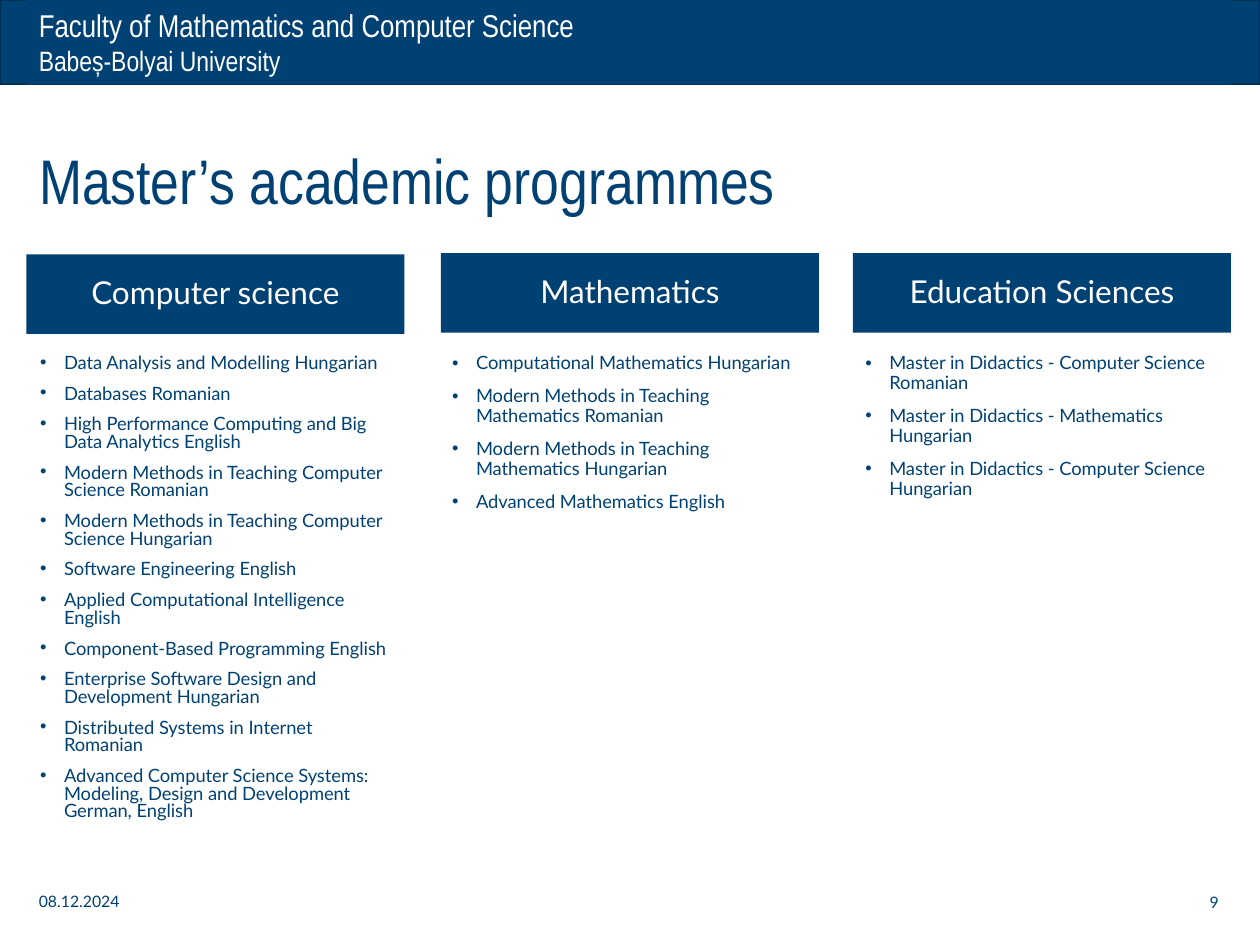
from lxml import etree
from pptx import Presentation
from pptx.dml.color import RGBColor
from pptx.enum import shapes, text
from pptx.oxml.ns import qn
from pptx.util import Inches, Pt

NAVY, DARK_NAVY, WHITE = "004174", "003056", "FFFFFF"
HEADING_FONT, BODY_FONT = "Arial Narrow", "Lato"
COLUMN_WIDTH = 3

# heading, heading position, list position, line spacing, programmes
COLUMNS = [
    ("Computer science", (0.21, 2.02), (0.22, 2.77), 0.8, [
        "Data Analysis and Modelling Hungarian",
        "Databases Romanian",
        "High Performance Computing and Big Data Analytics English",
        "Modern Methods in Teaching Computer Science Romanian",
        "Modern Methods in Teaching Computer Science Hungarian",
        "Software Engineering English",
        "Applied Computational Intelligence English",
        "Component-Based Programming English",
        "Enterprise Software Design and Development Hungarian",
        "Distributed Systems in Internet Romanian",
        "Advanced Computer Science Systems: Modeling, Design and Development German, English",
    ]),
    ("Mathematics", (3.5, 2.01), (3.49, 2.76), 0.9, [
        "Computational Mathematics Hungarian",
        "Modern Methods in Teaching Mathematics Romanian",
        "Modern Methods in Teaching Mathematics Hungarian",
        "Advanced Mathematics English",
    ]),
    ("Education Sciences", (6.77, 2.01), (6.77, 2.76), 0.9, [
        "Master in Didactics - Computer Science Romanian",
        "Master in Didactics - Mathematics Hungarian",
        "Master in Didactics - Computer Science Hungarian",
    ]),
]


def color(hex_string):
    return RGBColor.from_string(hex_string)


def set_font(font, size, name, hex_string):
    font.size = Pt(size)
    font.name = name
    font.color.rgb = color(hex_string)


def add_bar(slide, left, top, width, height, line=None):
    bar = slide.shapes.add_shape(shapes.MSO_SHAPE.RECTANGLE, Inches(left), Inches(top),
                                 Inches(width), Inches(height))
    bar.shadow.inherit = False
    bar.fill.solid()
    bar.fill.fore_color.rgb = color(NAVY)
    if line:
        bar.line.color.rgb = color(line)
        bar.line.width = Pt(1)
    else:
        bar.line.fill.background()
    return bar


def add_text_frame(slide, left, top, width, height):
    frame = slide.shapes.add_textbox(Inches(left), Inches(top),
                                     Inches(width), Inches(height)).text_frame
    frame.word_wrap = True
    return frame


def add_banner(slide):
    add_bar(slide, 0, 0, 10, 0.67, DARK_NAVY)
    frame = add_bar(slide, 0.21, 0, 9.56, 0.67).text_frame
    frame.vertical_anchor = text.MSO_ANCHOR.TOP
    names = frame.paragraphs[0]
    names.alignment = text.PP_ALIGN.LEFT
    faculty = names.add_run()
    faculty.text = "Faculty of Mathematics and Computer Science"
    set_font(faculty.font, 18, HEADING_FONT, WHITE)
    names.add_line_break()
    university = names.add_run()
    university.text = "Babeș-Bolyai University"
    set_font(university.font, 16, HEADING_FONT, WHITE)


def set_title(slide, wording):
    title = slide.shapes.title
    title.left, title.top = Inches(0.21), Inches(1)
    title.width, title.height = Inches(9.56), Inches(0.85)
    frame = title.text_frame
    frame.text = wording
    frame.vertical_anchor = text.MSO_ANCHOR.MIDDLE
    paragraph = frame.paragraphs[0]
    paragraph.alignment = text.PP_ALIGN.LEFT
    set_font(paragraph.font, 36, HEADING_FONT, NAVY)


def add_heading(slide, position, wording):
    frame = add_bar(slide, *position, COLUMN_WIDTH, 0.63).text_frame
    frame.text = wording
    frame.vertical_anchor = text.MSO_ANCHOR.MIDDLE
    paragraph = frame.paragraphs[0]
    paragraph.alignment = text.PP_ALIGN.CENTER
    paragraph.line_spacing = 0.9
    set_font(paragraph.font, 18, BODY_FONT, WHITE)


def add_bullet(paragraph):
    properties = paragraph._p.get_or_add_pPr()
    indent = Inches(0.19)
    properties.set("marL", str(indent))
    properties.set("indent", str(-indent))
    etree.SubElement(properties, qn("a:buFont"), typeface="Arial")
    etree.SubElement(properties, qn("a:buChar"), char="•")


def add_programmes(slide, position, programmes, line_spacing):
    frame = add_text_frame(slide, *position, COLUMN_WIDTH, 3.93)
    for index, programme in enumerate(programmes):
        paragraph = frame.add_paragraph() if index else frame.paragraphs[0]
        paragraph.text = programme
        add_bullet(paragraph)
        paragraph.line_spacing = line_spacing
        paragraph.space_before = Pt(7.5 if index else 0)
        set_font(paragraph.font, 10.5, BODY_FONT, NAVY)


def add_footer(slide, left, top, wording, alignment):
    frame = add_text_frame(slide, left, top, 2.25, 0.4)
    frame.text = wording
    frame.vertical_anchor = text.MSO_ANCHOR.MIDDLE
    paragraph = frame.paragraphs[0]
    paragraph.alignment = alignment
    set_font(paragraph.font, 9, BODY_FONT, NAVY)


def main():
    presentation = Presentation()
    presentation.slide_width, presentation.slide_height = Inches(10), Inches(7.5)
    slide = presentation.slides.add_slide(presentation.slide_layouts[5])

    # University banner and title
    add_banner(slide)
    set_title(slide, "Master’s academic programmes")

    # One column per field of study
    for heading, heading_at, list_at, line_spacing, programmes in COLUMNS:
        add_heading(slide, heading_at, heading)
        add_programmes(slide, list_at, programmes, line_spacing)

    # Date and slide number
    add_footer(slide, 0.21, 6.95, "08.12.2024", text.PP_ALIGN.LEFT)
    add_footer(slide, 7.52, 6.96, "9", text.PP_ALIGN.RIGHT)

    presentation.save("out.pptx")


if __name__ == "__main__":
    main()
